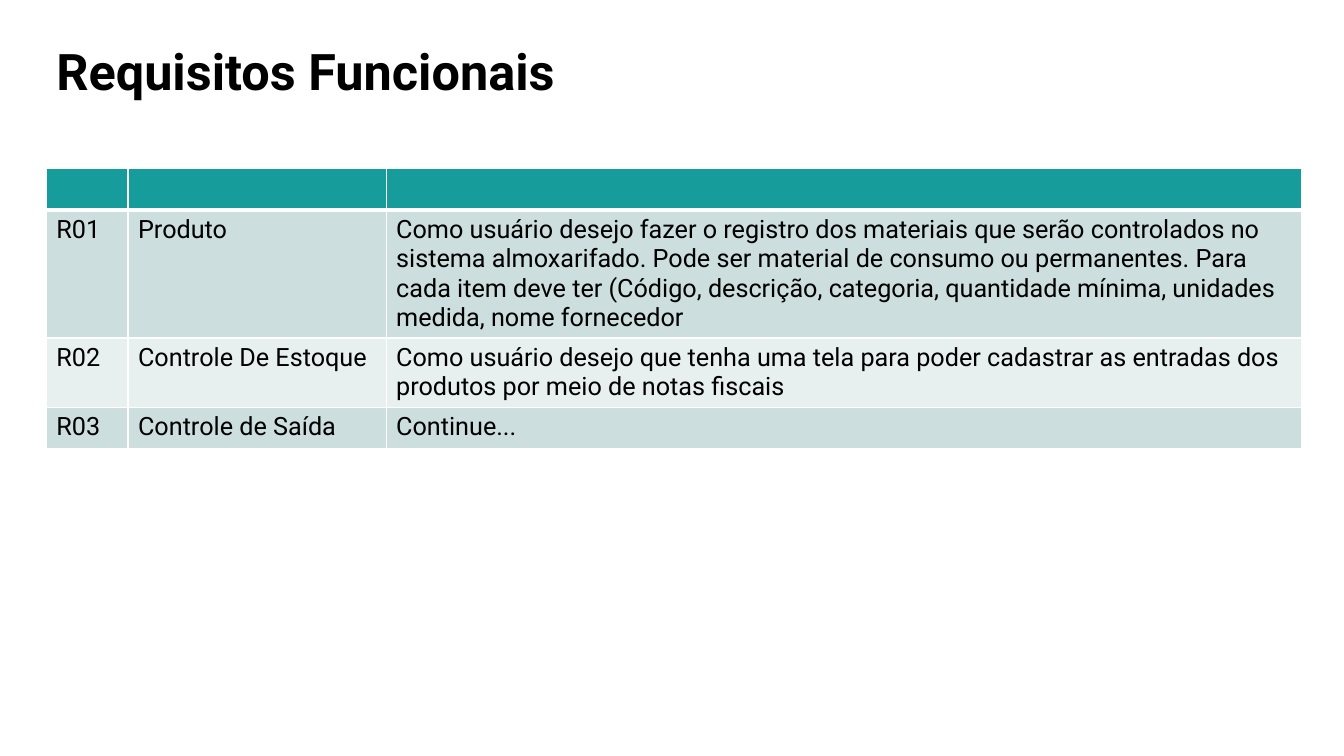
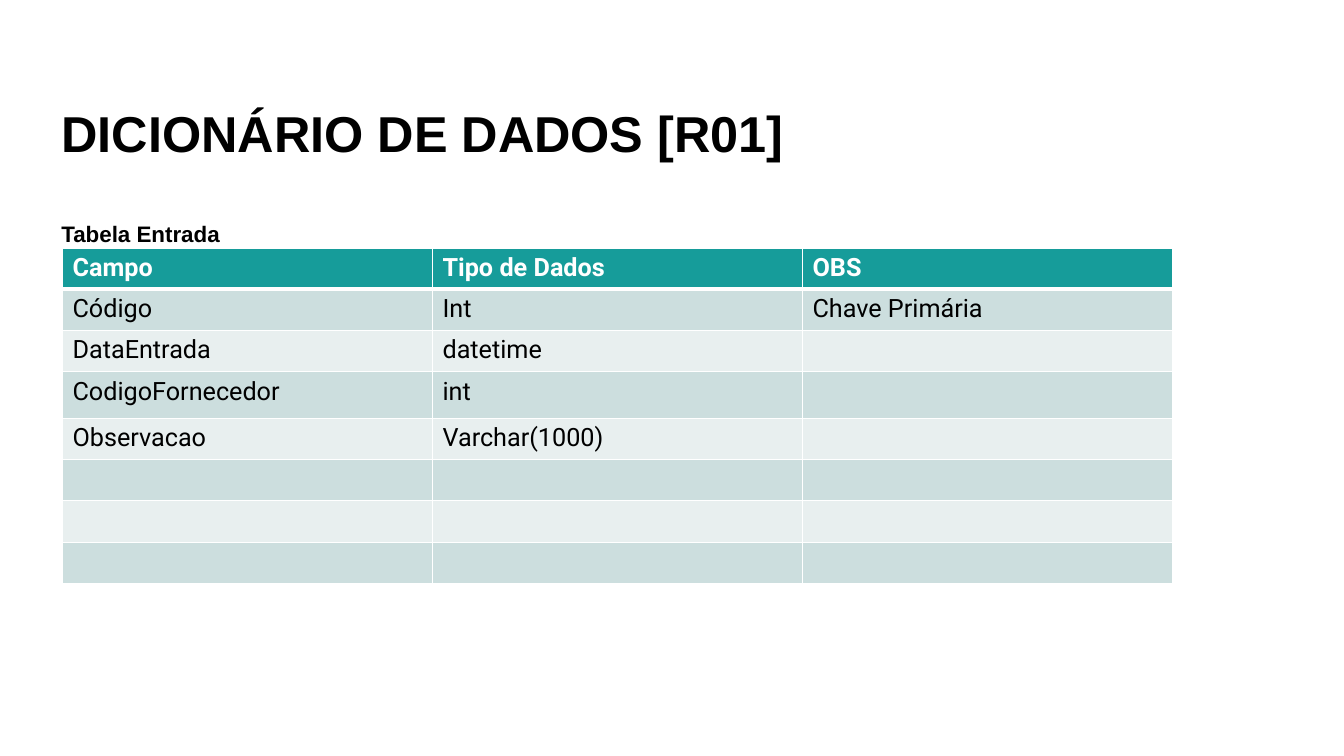
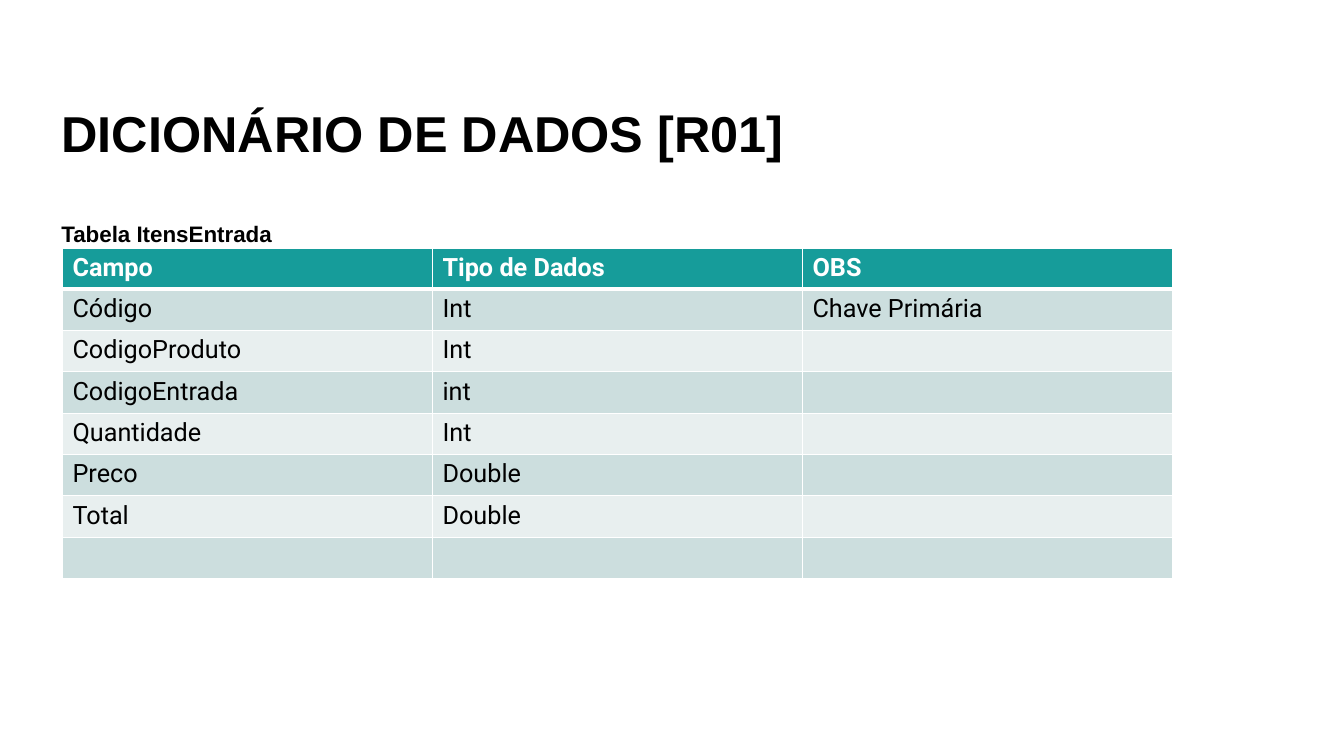
from lxml import etree
from pptx import Presentation
from pptx import util as u
from pptx.dml.color import RGBColor
from pptx.enum import text
from pptx.oxml.ns import qn

BLACK, WHITE = "000000", "FFFFFF"
TEAL, BAND_DARK, BAND_LIGHT = "169C9A", "CCDEDE", "E8EFEF"
BODY_FONT, HEADING_FONT = "Roboto", "Arial"
ROW_HEIGHT = 0.41


def colour(value):
    return RGBColor.from_string(value)


class Deck:
    """Shared style and the slide being built."""

    def __init__(self):
        self.deck = Presentation()
        self.deck.slide_width = u.Inches(13.33)
        self.deck.slide_height = u.Inches(7.5)
        self.page = None

    def new_page(self):
        self.page = self.deck.slides.add_slide(self.deck.slide_layouts[5])

    def style(self, para, size, font, ink, bold):
        para.alignment = text.PP_ALIGN.LEFT
        for span in para.runs:
            span.font.size = u.Pt(size)
            span.font.name = font
            span.font.bold = bold
            span.font.color.rgb = colour(ink)

    def heading(self, box, words, place, size, font):
        box.left, box.top, box.width, box.height = map(u.Inches, place)
        frame = box.text_frame
        frame.text = words
        frame.word_wrap = True
        frame.auto_size = text.MSO_AUTO_SIZE.NONE
        frame.vertical_anchor = text.MSO_ANCHOR.BOTTOM
        para = frame.paragraphs[0]
        para.line_spacing = 0.9
        self.style(para, size, font, BLACK, True)

    def title(self, words, place, font=HEADING_FONT):
        self.heading(self.page.shapes.title, words, place, 36, font)

    def caption(self, words, place):
        box = self.page.shapes.add_textbox(0, 0, 0, 0)
        self.heading(box, words, place, 16, HEADING_FONT)

    def borders(self, cell, top, bottom):
        properties = cell._tc.get_or_add_tcPr()
        for side, points in (("L", 1), ("R", 1), ("T", top), ("B", bottom)):
            line = etree.SubElement(properties, qn(f"a:ln{side}"), w=str(u.Pt(points)))
            fill = etree.SubElement(line, qn("a:solidFill"))
            etree.SubElement(fill, qn("a:srgbClr"), val=WHITE)

    def table(self, left, top, widths, rows, heights):
        """Teal header row above banded rows; short rows end in empty cells."""
        frame = self.page.shapes.add_table(
            len(rows), len(widths), u.Inches(left), u.Inches(top),
            u.Inches(sum(widths)), u.Inches(sum(heights)))
        grid = frame.table
        for column, width in zip(grid.columns, widths):
            column.width = u.Inches(width)
        for r, (row, height) in enumerate(zip(rows, heights)):
            grid.rows[r].height = u.Inches(height)
            header = r == 0
            band = TEAL if header else (BAND_LIGHT, BAND_DARK)[r % 2]
            for c in range(len(widths)):
                cell = grid.cell(r, c)
                # A thick rule separates the header from the body
                self.borders(cell, 3 if r == 1 else 1, 3 if header else 1)
                cell.fill.solid()
                cell.fill.fore_color.rgb = colour(band)
                if c < len(row):
                    cell.text_frame.text = row[c]
                    self.style(cell.text_frame.paragraphs[0], 18, BODY_FONT,
                               WHITE if header else BLACK, header)

    def dictionary_page(self, name, fields, heights):
        self.new_page()
        self.title("DICIONÁRIO DE DADOS [R01]", (0.51, 0, 11.5, 1.67))
        rows = [("Campo", "Tipo de Dados", "OBS"), *fields]
        rows += [()] * (len(heights) - len(rows))
        self.table(0.62, 2.46, [3.67] * 3, rows, heights)
        self.caption(f"Tabela {name}", (0.51, 0.83, 11.5, 1.67))


def main():
    show = Deck()

    # Functional requirements
    show.new_page()
    show.title("Requisitos Funcionais", (0.46, -0.61, 6.47, 1.67), BODY_FONT)
    requirements = [
        (),
        ("R01", "Produto",
         "Como usuário desejo fazer o registro dos materiais que serão "
         "controlados no sistema almoxarifado. Pode ser material de consumo ou "
         "permanentes. Para cada item deve ter (Código, descrição, categoria, "
         "quantidade mínima, unidades medida, nome fornecedor"),
        ("R02", "Controle De Estoque",
         "Como usuário desejo que tenha uma tela para poder cadastrar as "
         "entradas dos produtos por meio de notas fiscais"),
        ("R03", "Controle de Saída", "Continue..."),
    ]
    show.table(0.46, 1.67, [0.81, 2.56, 9.08], requirements,
               [ROW_HEIGHT, 1.27, 0.69, ROW_HEIGHT])

    # Data dictionary
    key_field = ("Código", "Int", "Chave Primária")
    show.dictionary_page(
        "Entrada",
        [key_field, ("DataEntrada", "datetime"), ("CodigoFornecedor", "int"),
         ("Observacao", "Varchar(1000)")],
        [ROW_HEIGHT] * 3 + [0.46] + [ROW_HEIGHT] * 4)
    show.dictionary_page(
        "ItensEntrada",
        [key_field, ("CodigoProduto", "Int"), ("CodigoEntrada", "int"),
         ("Quantidade", "Int"), ("Preco", "Double"), ("Total", "Double")],
        [ROW_HEIGHT] * 8)

    show.deck.save("out.pptx")


if __name__ == "__main__":
    main()
